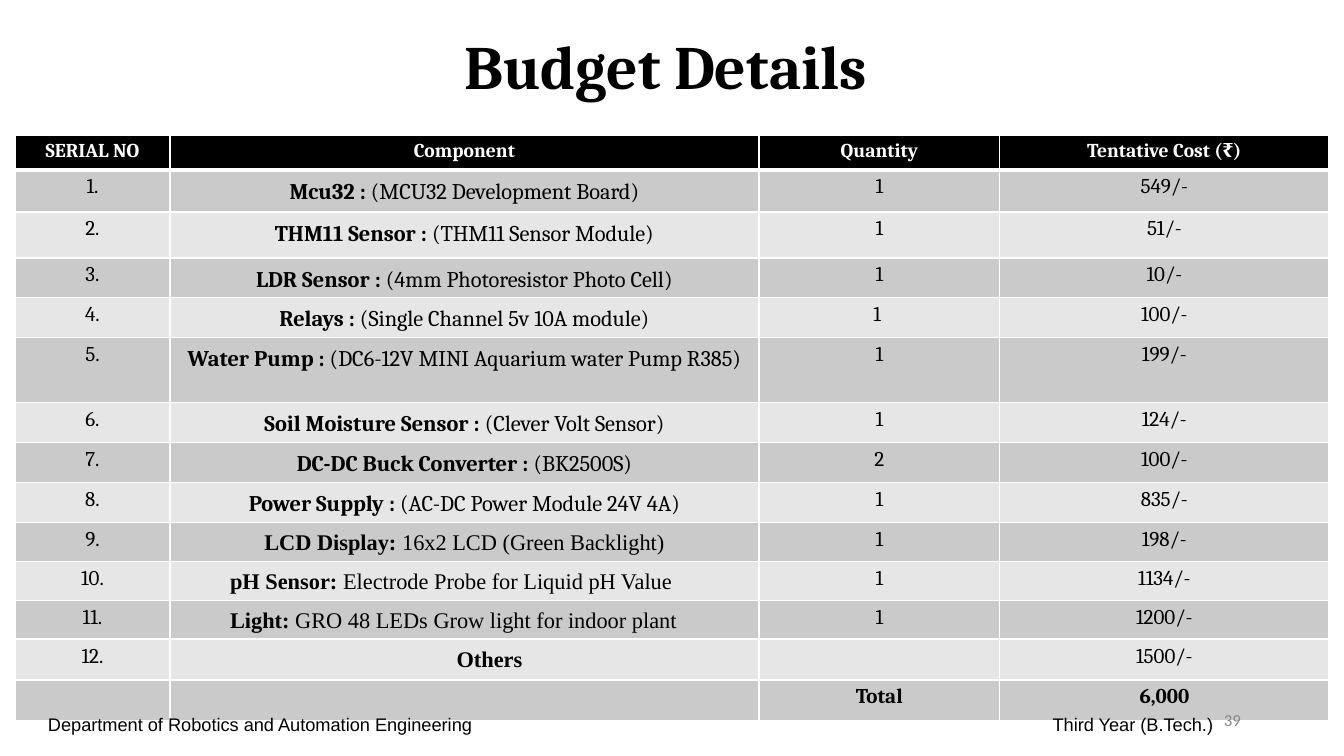
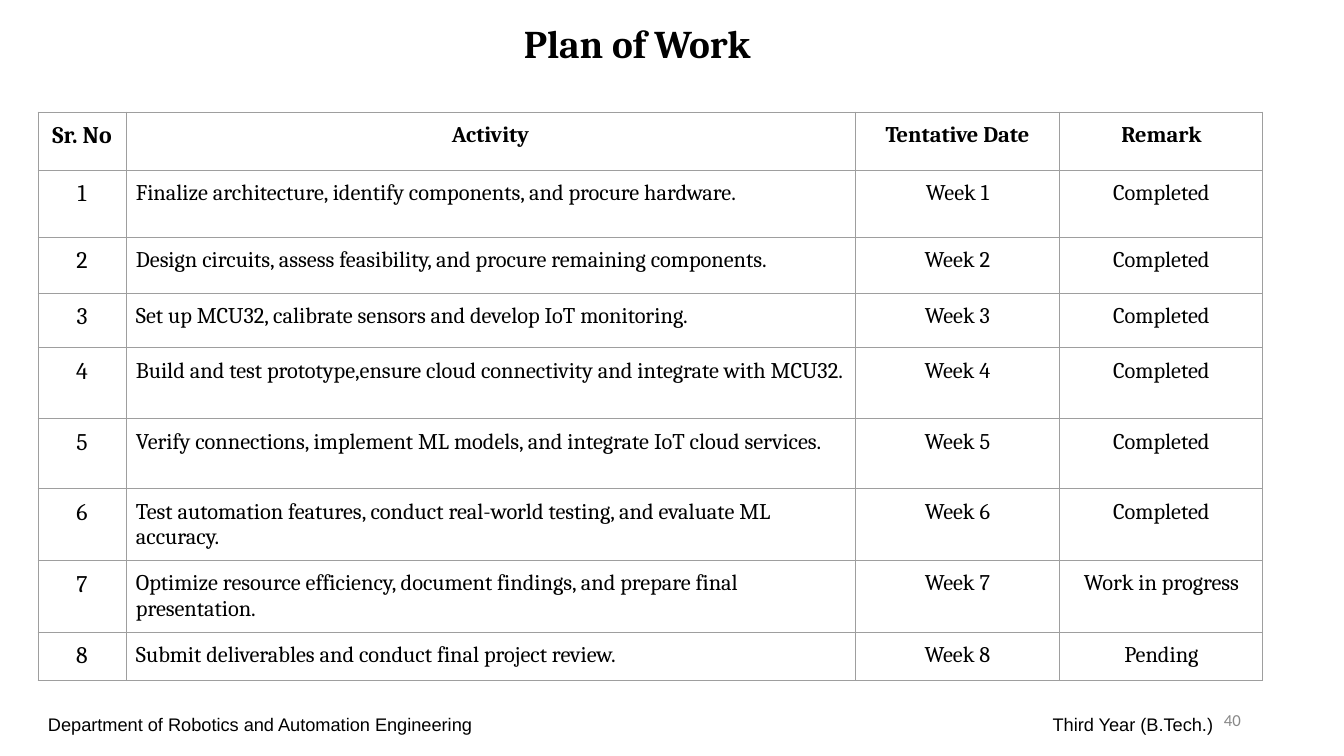
import dataclasses

import pptx
import pptx.dml.color
import pptx.enum.text
import pptx.oxml
import pptx.oxml.ns
import pptx.util

ALIGN = pptx.enum.text.PP_ALIGN
MIDDLE = pptx.enum.text.MSO_ANCHOR.MIDDLE
EMU_PER_PX = 914400 / 100.8


@dataclasses.dataclass(frozen=True)
class Theme:
    ink: str = "000000"
    paper: str = "FFFFFF"
    muted: str = "888888"
    grid: str = "9E9E9E"
    bands: tuple = ("CACACA", "E6E6E6")
    serif: str = "Cambria"
    roman: str = "Times New Roman"
    footer_font: str = "Arial"
    number_font: str = "Calibri"
    title_large: int = 44
    title_small: int = 28
    serial: int = 17
    body: int = 16
    figure: int = 15
    header: int = 14
    footer: int = 13
    number: int = 12


THEME = Theme()

BUDGET_HEADERS = ("SERIAL NO", "Component", "Quantity", "Tentative Cost (₹)")
BUDGET_COLUMNS = (155, 589, 241, 329)
BUDGET_HEIGHTS = (35, 42, 46, 39, 40, 65, 40, 40, 39, 39, 39, 39, 38, 39)
# Part, detail, quantity, cost, typeface, alignment, left indent
SERIF = (THEME.serif, ALIGN.CENTER, 0)
ROMAN = (THEME.roman, ALIGN.CENTER, 0)
ROMAN_INDENTED = (THEME.roman, ALIGN.LEFT, 50)
ROMAN_OFFSET = (THEME.roman, ALIGN.CENTER, 50)
BUDGET_ITEMS = (
    ("Mcu32 : ", "(MCU32 Development Board)", "1", "549/-", SERIF),
    ("THM11 Sensor : ", "(THM11 Sensor Module)", "1", "51/-", SERIF),
    ("LDR Sensor : ", "(4mm Photoresistor Photo Cell)", "1", "10/-", SERIF),
    ("Relays : ", "(Single Channel 5v 10A module)", "1 ", "100/-", SERIF),
    ("Water Pump : ", "(DC6-12V MINI Aquarium water Pump R385)", "1", "199/-", SERIF),
    ("Soil Moisture Sensor : ", "(Clever Volt Sensor)", "1", "124/-", SERIF),
    ("DC-DC Buck Converter : ", "(BK2500S)", "2", "100/-", SERIF),
    ("Power Supply : ", "(AC-DC Power Module 24V 4A)", "1", "835/-", SERIF),
    ("LCD Display: ", "16x2 LCD (Green Backlight)", "1", "198/-", ROMAN),
    ("pH Sensor: ", "Electrode Probe for Liquid pH Value", "1", "1134/-", ROMAN_INDENTED),
    ("Light:", " GRO 48 LEDs Grow light for indoor plant", "1", "1200/-", ROMAN_INDENTED),
    ("Others", "", "", "1500/-", ROMAN_OFFSET),
)
BUDGET_TOTAL = ("", "", "Total", "6,000")

PLAN_HEADERS = ("Sr. No", "Activity", "Tentative Date", "Remark")
PLAN_COLUMNS = (88, 729, 205, 203)
PLAN_HEIGHTS = (58, 67, 56, 55, 71, 70, 72, 71, 48)
PLAN_STEPS = (
    ("Finalize architecture, identify components, and procure hardware.", "Completed"),
    ("Design circuits, assess feasibility, and procure remaining components.", "Completed"),
    ("Set up MCU32, calibrate sensors and develop IoT monitoring.", "Completed"),
    ("Build and test prototype,ensure cloud connectivity and integrate with MCU32.", "Completed"),
    ("Verify connections, implement ML models, and integrate IoT cloud services.", "Completed"),
    ("Test automation features, conduct real-world testing, and evaluate ML accuracy.", "Completed"),
    ("Optimize resource efficiency, document findings, and prepare final presentation.",
     "Work in progress"),
    ("Submit deliverables and conduct final project review.", "Pending"),
)


def px(length):
    return pptx.util.Emu(round(length * EMU_PER_PX))


def rgb(value):
    return pptx.dml.color.RGBColor.from_string(value)


def apply(target, **formats):
    for attribute, value in formats.items():
        setattr(target, attribute, value)


def write(paragraph, text, size, font=THEME.serif, color=THEME.ink, bold=False):
    run = paragraph.add_run()
    run.text = text
    apply(run.font, name=font, size=pptx.util.Pt(size), bold=bold)
    run.font.color.rgb = rgb(color)


def set_margins(target, across, down):
    apply(target, margin_left=px(across), margin_right=px(across),
          margin_top=px(down), margin_bottom=px(down))


def add_borders(cell, color, left=1, right=1, top=1, bottom=1):
    """Draw the four edges, widths in points; call after the fill is set."""
    properties = cell._tc.get_or_add_tcPr()
    edges = {"lnL": left, "lnR": right, "lnT": top, "lnB": bottom}
    for position, (edge, width) in enumerate(edges.items()):
        properties.insert(position, pptx.oxml.parse_xml(
            f'<a:{edge} {pptx.oxml.ns.nsdecls("a")} w="{pptx.util.Pt(width)}">'
            f'<a:solidFill><a:srgbClr val="{color}"/></a:solidFill></a:{edge}>'))


def add_title(slide, text, box, size):
    title = slide.shapes.title
    apply(title, **dict(zip(("left", "top", "width", "height"), map(px, box))))
    frame = title.text_frame
    apply(frame, word_wrap=True, vertical_anchor=MIDDLE)
    set_margins(frame, 10, 5)
    heading = frame.paragraphs[0]
    apply(heading, alignment=ALIGN.CENTER, line_spacing=0.9)
    write(heading, text, size, bold=True)


def add_text_box(slide, box, across, down):
    frame = slide.shapes.add_textbox(*map(px, box)).text_frame
    frame.word_wrap = True
    set_margins(frame, across, down)
    return frame


def add_footer(slide, page, box=(38, 700, 1252, 42)):
    left, top, width, height = box
    line = add_text_box(slide, box, 10, 10).paragraphs[0]
    line.line_spacing = 1.15
    line._p.get_or_add_pPr().append(pptx.oxml.parse_xml(
        f'<a:tabLst {pptx.oxml.ns.nsdecls("a")}>'
        f'<a:tab pos="{px(width - 87)}" algn="r"/></a:tabLst>'))
    write(line, "Department of Robotics and Automation Engineering\tThird Year (B.Tech.)",
          THEME.footer, THEME.footer_font)

    frame = add_text_box(slide, (left + width - 341, top, 302, 40), 10, 5)
    frame.vertical_anchor = MIDDLE
    number = frame.paragraphs[0]
    number.alignment = ALIGN.RIGHT
    write(number, page, THEME.number, THEME.number_font, THEME.muted)


def add_grid(slide, left, top, columns, heights):
    box = (left, top, sum(columns), sum(heights))
    table = slide.shapes.add_table(len(heights), len(columns), *map(px, box)).table
    table.horz_banding = False
    for column, width in zip(table.columns, columns):
        column.width = px(width)
    for row, height in zip(table.rows, heights):
        row.height = px(height)
    return table


def write_cell(cell, text, size, align=ALIGN.CENTER, **style):
    if text:
        paragraph = cell.text_frame.paragraphs[0]
        paragraph.alignment = align
        write(paragraph, text, size, **style)


def write_component(cell, part, detail, font, align, indent):
    paragraph = cell.text_frame.paragraphs[0]
    apply(paragraph, alignment=align, line_spacing=1.15)
    if indent:
        paragraph._p.get_or_add_pPr().set("marL", str(px(indent)))
    write(paragraph, part, THEME.body, font, bold=True)
    if detail:
        write(paragraph, detail, THEME.body, font)


def add_budget_table(slide, left, top):
    table = add_grid(slide, left, top, BUDGET_COLUMNS, BUDGET_HEIGHTS)
    for row_index, row in enumerate(table.rows):
        for cell in row.cells:
            cell.fill.solid()
            band = THEME.bands[(row_index - 1) % 2] if row_index else THEME.ink
            cell.fill.fore_color.rgb = rgb(band)
            add_borders(cell, THEME.paper, top=3 if row_index == 1 else 1,
                        bottom=1 if row_index else 3)
    for column, label in enumerate(BUDGET_HEADERS):
        write_cell(table.cell(0, column), label, THEME.header, color=THEME.paper, bold=True)
    for serial, (part, detail, quantity, cost, layout) in enumerate(BUDGET_ITEMS, 1):
        write_component(table.cell(serial, 1), part, detail, *layout)
        for column, text in ((0, f"{serial}."), (2, quantity), (3, cost)):
            write_cell(table.cell(serial, column), text, THEME.figure)
    for column, text in enumerate(BUDGET_TOTAL):
        write_cell(table.cell(len(BUDGET_ITEMS) + 1, column), text, THEME.figure, bold=True)


def add_plan_table(slide, left, top):
    table = add_grid(slide, left, top, PLAN_COLUMNS, PLAN_HEIGHTS)
    steps = [(str(week), activity, f"Week {week}", remark)
             for week, (activity, remark) in enumerate(PLAN_STEPS, 1)]
    for row_index, texts in enumerate([PLAN_HEADERS, *steps]):
        for column, text in enumerate(texts):
            cell = table.cell(row_index, column)
            cell.fill.background()
            add_borders(cell, THEME.grid, 0.75, 0.75, 0.75, 0.75)
            set_margins(cell, 10, 10)
            write_cell(cell, text, THEME.body if column else THEME.serial,
                       ALIGN.LEFT if row_index and column == 1 else ALIGN.CENTER,
                       bold=row_index == 0)


def build_budget_slide(slide):
    add_title(slide, "Budget Details ", (93, 16, 1159, 107), THEME.title_large)
    add_budget_table(slide, 15, 135)
    add_footer(slide, "39")


def build_plan_slide(slide):
    add_title(slide, "Plan of Work ", (38, 10, 1207, 71), THEME.title_small)
    add_plan_table(slide, 38, 112)
    add_footer(slide, "40")


def main():
    deck = pptx.Presentation()
    apply(deck, slide_width=px(1344), slide_height=px(756))
    title_only = deck.slide_layouts[5]
    for build in (build_budget_slide, build_plan_slide):
        build(deck.slides.add_slide(title_only))
    deck.save("out.pptx")


if __name__ == "__main__":
    main()
